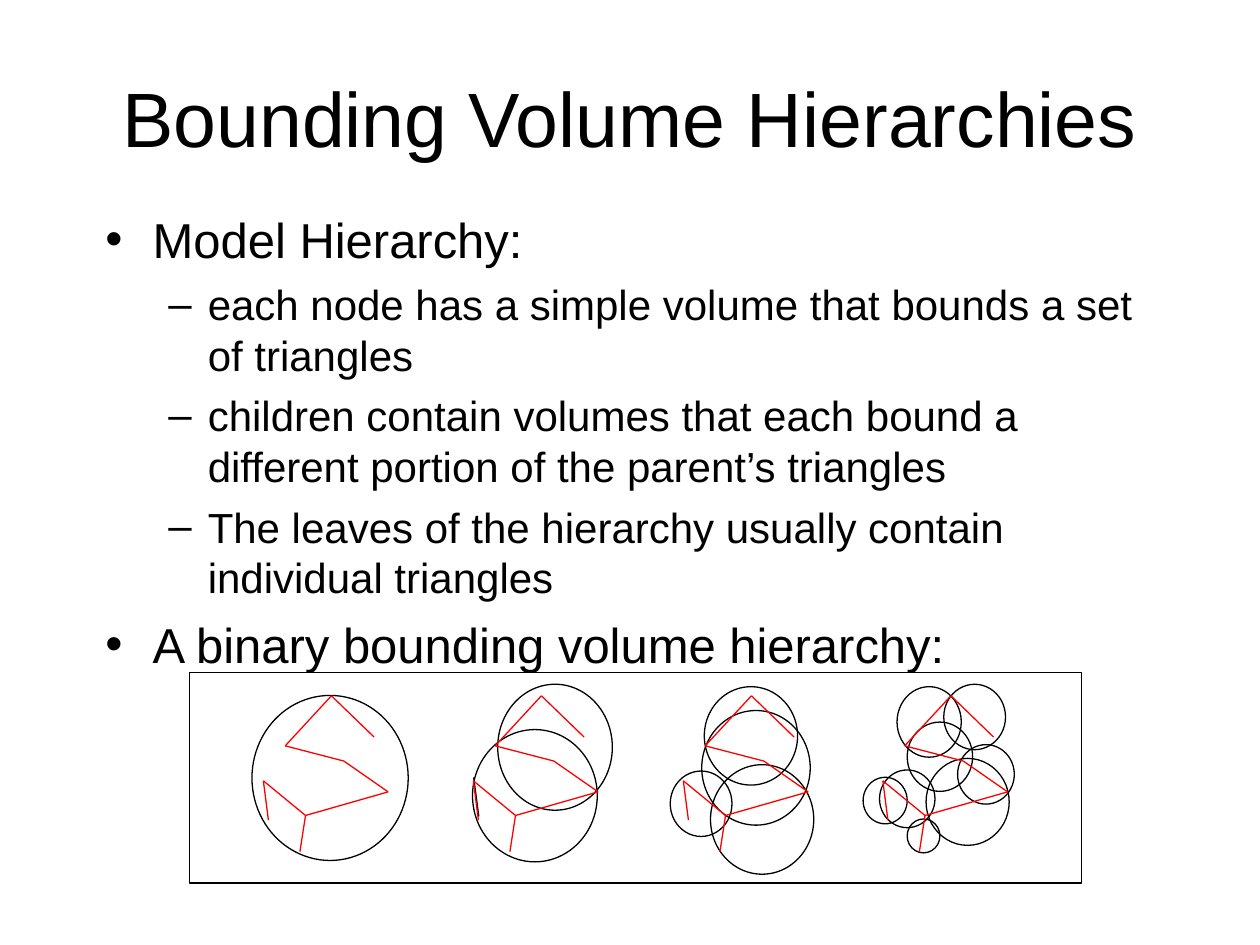
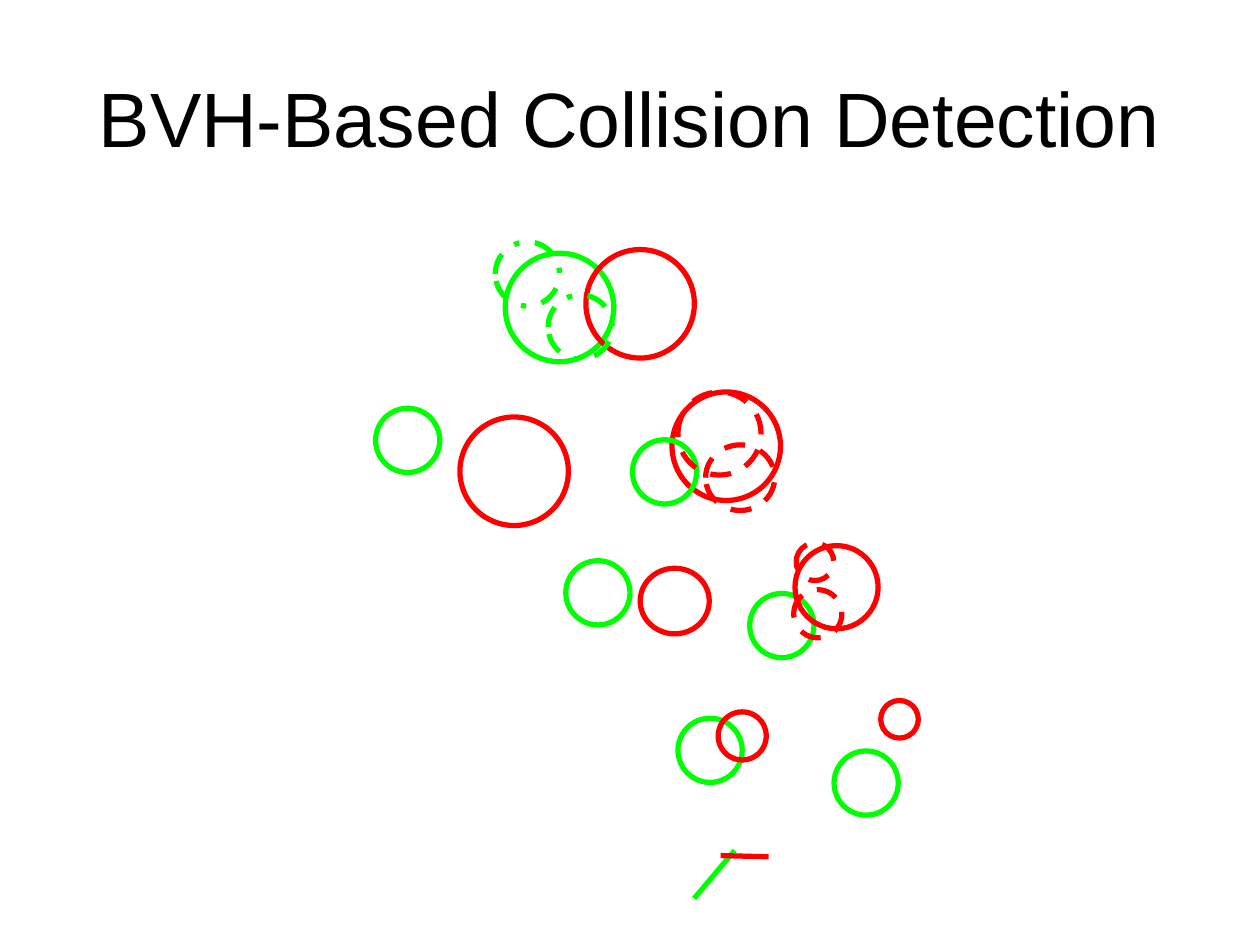
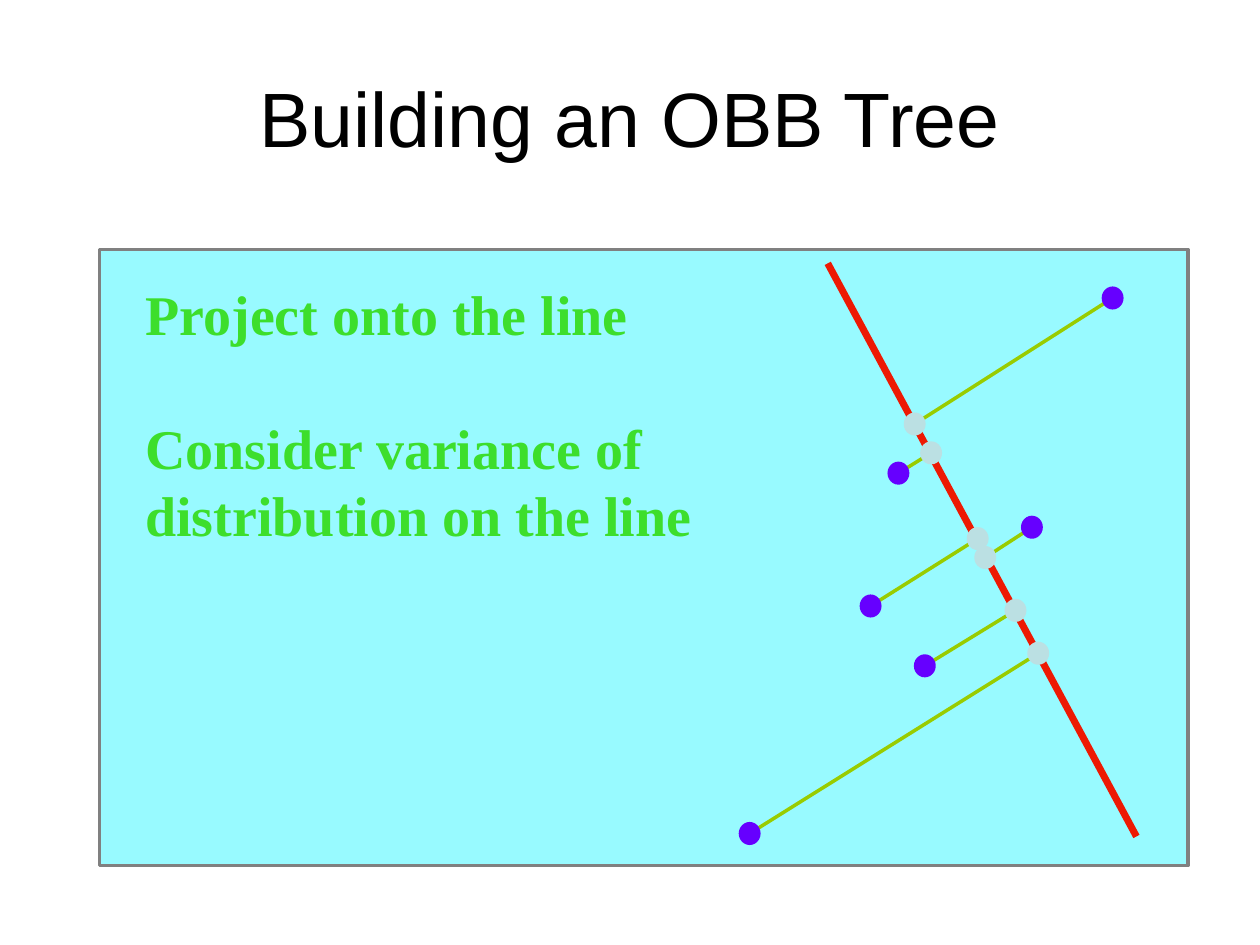
from itertools import pairwise

from lxml import etree
from pptx import Presentation
from pptx.dml.color import RGBColor
from pptx.enum import dml, shapes, text
from pptx.oxml import ns
from pptx.util import Pt

BLACK = RGBColor(0x00, 0x00, 0x00)
WHITE = RGBColor(0xFF, 0xFF, 0xFF)
RED = RGBColor(0xFF, 0x00, 0x00)
GREEN = RGBColor(0x00, 0xFF, 0x00)
CYAN = RGBColor(0x98, 0xFA, 0xFF)
GREY = RGBColor(0x80, 0x80, 0x80)
LEAF = RGBColor(0x3D, 0xDE, 0x2C)
OLIVE = RGBColor(0x99, 0xCC, 0x00)
VIOLET = RGBColor(0x66, 0x00, 0xFF)
PALE = RGBColor(0xBB, 0xE0, 0xE3)
AXIS_RED = RGBColor(0xED, 0x19, 0x03)

SANS, SERIF = "Arial", "Times New Roman"
RECT, OVAL = shapes.MSO_SHAPE.RECTANGLE, shapes.MSO_SHAPE.OVAL
DASH, DASH_DOT = dml.MSO_LINE.DASH, dml.MSO_LINE.DASH_DOT

# Model hierarchy: the same red strokes at four levels, with finer circles
LEVEL_OFFSETS = [0, 120, 240, 354]
STROKES = [
    [(213.8, 421.2), (189.4, 397.6), (163, 426.2), (196.5, 434.9),
     (221.8, 452.5), (174.6, 466), (150.5, 446.2), (153.4, 468.7)],
    [(174.6, 466), (171.4, 486.7)],
]
LEVEL_CIRCLES = [
    [(144, 397.4, 89.3, 94.3)],
    [(284.4, 391, 65.5, 72), (270, 416.9, 71.3, 75.6)],
    [(402.5, 392.4, 53.3, 56.2), (383, 440.6, 35.3, 37.4),
     (401, 406, 62, 65.5), (406, 437, 59, 62.6)],
    [(529.2, 433.4, 47.5, 49.7), (493.2, 444.2, 25.2, 26.6),
     (502.6, 440, 31.7, 33), (512.6, 392.4, 36.7, 40.3),
     (539.3, 391, 35.3, 37.4), (518.4, 412.6, 37.4, 39.6),
     (547.2, 425.5, 32.4, 34), (518.4, 468, 18.7, 19.4)],
]

# Collision tests: left, top, diameter(s), colour, dash
BIG, MEDIUM, SMALL, TINY = (62, 62), (47.5, 47.5), (27.5, 27.5), (21.5, 21.5)
OBJECT, PART = (36.7, 36.7), (39.5, 37.5)
TEST_CIRCLES = [
    (288.7, 144.7, BIG, GREEN, None), (334.8, 142.6, BIG, RED, None),
    (283, 138.2, OBJECT, GREEN, DASH_DOT), (313.2, 168.5, OBJECT, GREEN, DASH_DOT),
    (214.6, 233.3, OBJECT, GREEN, None), (262.8, 238.3, BIG, RED, None),
    (384, 224, BIG, RED, None), (361.4, 251.3, OBJECT, GREEN, None),
    (387.4, 224, MEDIUM, RED, DASH), (403.2, 254.2, PART, RED, DASH),
    (323.3, 320.4, OBJECT, GREEN, None), (365.8, 324.7, PART, RED, None),
    (428.4, 339.1, OBJECT, GREEN, None), (454.3, 311.8, MEDIUM, RED, None),
    (455, 310.3, TINY, RED, DASH), (453.6, 337, SMALL, RED, DASH),
    (387.4, 410.4, OBJECT, GREEN, None), (410.4, 406.8, SMALL, RED, None),
    (476.6, 429.1, OBJECT, GREEN, None), (503.3, 400.3, TINY, RED, None),
]

# Each point and its projection onto the line
PROJECTIONS = [
    ((635.8, 170.3), (522.7, 242.3)), ((513.4, 270.4), (532.1, 258.8)),
    ((589.7, 301.3), (563, 318.6)), ((497.5, 346.3), (558.7, 307.8)),
    ((528.5, 380.5), (580.3, 348.8)), ((428.4, 476.3), (593.3, 373.3)),
]
DOT_W, DOT_H = 11.5, 12.2


def place(sp, left, top, width, height):
    sp.left, sp.top, sp.width, sp.height = map(Pt, (left, top, width, height))


def add_run(p, words, size, font=SANS, color=BLACK, bold=False):
    r = p.add_run()
    r.text = words
    r.font.size, r.font.name, r.font.bold = Pt(size), font, bold
    r.font.color.rgb = color


def add_slide(prs, layout, title):
    slide = prs.slides.add_slide(prs.slide_layouts[layout])
    sp = slide.shapes.title
    place(sp, 36, 21.6, 648, 90)
    tf = sp.text_frame
    tf.auto_size = text.MSO_AUTO_SIZE.NONE
    tf.vertical_anchor = text.MSO_ANCHOR.MIDDLE
    p = tf.paragraphs[0]
    p.alignment = text.PP_ALIGN.CENTER
    add_run(p, title, 44)
    return slide


def add_bullets(slide, items):
    sp = slide.placeholders[1]
    place(sp, 53, 116, 612, 324)
    tf = sp.text_frame
    tf.auto_size = text.MSO_AUTO_SIZE.NONE
    for i, (level, words) in enumerate(items):
        p = tf.add_paragraph() if i else tf.paragraphs[0]
        p.level = level
        gap = 6 if level else 7
        p.space_before = Pt(gap if i else 0)
        add_run(p, words, 24 if level else 28)


def add_outline(parent, kind, box, color, width, fill=None, dash=None):
    sp = parent.add_shape(kind, *map(Pt, box))
    sp.shadow.inherit = False
    if fill is None:
        sp.fill.background()
    else:
        sp.fill.solid()
        sp.fill.fore_color.rgb = fill
    sp.line.color.rgb, sp.line.width = color, Pt(width)
    if dash is not None:
        sp.line.dash_style = dash


def add_dot(parent, center, color):
    x, y = center
    add_outline(parent, OVAL, (x - DOT_W / 2, y - DOT_H / 2, DOT_W, DOT_H),
                color, 1, fill=color)


def add_line(parent, start, end, color, width):
    sp = parent.add_connector(shapes.MSO_CONNECTOR.STRAIGHT,
                              *map(Pt, (*start, *end)))
    sp.line.color.rgb, sp.line.width = color, Pt(width)
    etree.SubElement(sp._element.spPr, ns.qn("a:effectLst"))


def hierarchy_slide(prs):
    slide = add_slide(prs, 1, "Bounding Volume Hierarchies")
    add_bullets(slide, [
        (0, "Model Hierarchy:"),
        (1, "each node has a simple volume that bounds a set of triangles"),
        (1, "children contain volumes that each bound a different portion "
            "of the parent’s triangles"),
        (1, "The leaves of the hierarchy usually contain individual triangles"),
        (0, "A binary bounding volume hierarchy:"),
    ])
    figure = slide.shapes.add_group_shape().shapes
    add_outline(figure, RECT, (108.2, 384.5, 509.8, 120.2), BLACK, 0.75, fill=WHITE)
    add_line(figure, (270.7, 444.2), (273.6, 466.6), BLACK, 0.75)
    for offset, circles in zip(LEVEL_OFFSETS, LEVEL_CIRCLES):
        for box in circles:
            add_outline(figure, OVAL, box, BLACK, 0.75)
        for stroke in STROKES:
            shifted = [(x + offset, y) for x, y in stroke]
            for start, end in pairwise(shifted):
                add_line(figure, start, end, RED, 0.75)


def collision_slide(prs):
    slide = add_slide(prs, 5, "BVH-Based Collision Detection")
    figure = slide.shapes.add_group_shape().shapes
    for left, top, size, color, dash in TEST_CIRCLES:
        add_outline(figure, OVAL, (left, top, *size), color, 3, dash=dash)
    add_line(figure, (396.7, 513.4), (419.8, 486), GREEN, 3)
    add_line(figure, (411.8, 488.9), (439.2, 489.6), RED, 3)


def obb_slide(prs):
    slide = add_slide(prs, 5, "Building an OBB Tree")
    parent = slide.shapes
    add_outline(parent, RECT, (56.9, 142.6, 622, 352), GREY, 2, fill=CYAN)

    # Explanation
    sp = parent.add_textbox(*map(Pt, (76, 156.2, 326.9, 161.3)))
    tf = sp.text_frame
    tf.word_wrap = False
    tf.auto_size = text.MSO_AUTO_SIZE.SHAPE_TO_FIT_TEXT
    lines = [("Project onto the line", 0), ("Consider variance of", 38),
             ("distribution on the line", 0)]
    for i, (words, gap) in enumerate(lines):
        p = tf.add_paragraph() if i else tf.paragraphs[0]
        p.space_before = Pt(gap)
        add_run(p, words, 32, SERIF, LEAF, True)

    # Points projected onto the line
    for point, foot in PROJECTIONS:
        add_line(parent, foot, point, OLIVE, 2)
    for point, _ in PROJECTIONS:
        add_dot(parent, point, VIOLET)
    add_line(parent, (473, 150.5), (649.4, 478), AXIS_RED, 4)
    for _, foot in PROJECTIONS:
        add_dot(parent, foot, PALE)


def main():
    prs = Presentation()
    prs.slide_width, prs.slide_height = Pt(720), Pt(540)
    hierarchy_slide(prs)
    collision_slide(prs)
    obb_slide(prs)
    prs.save("out.pptx")


if __name__ == "__main__":
    main()
